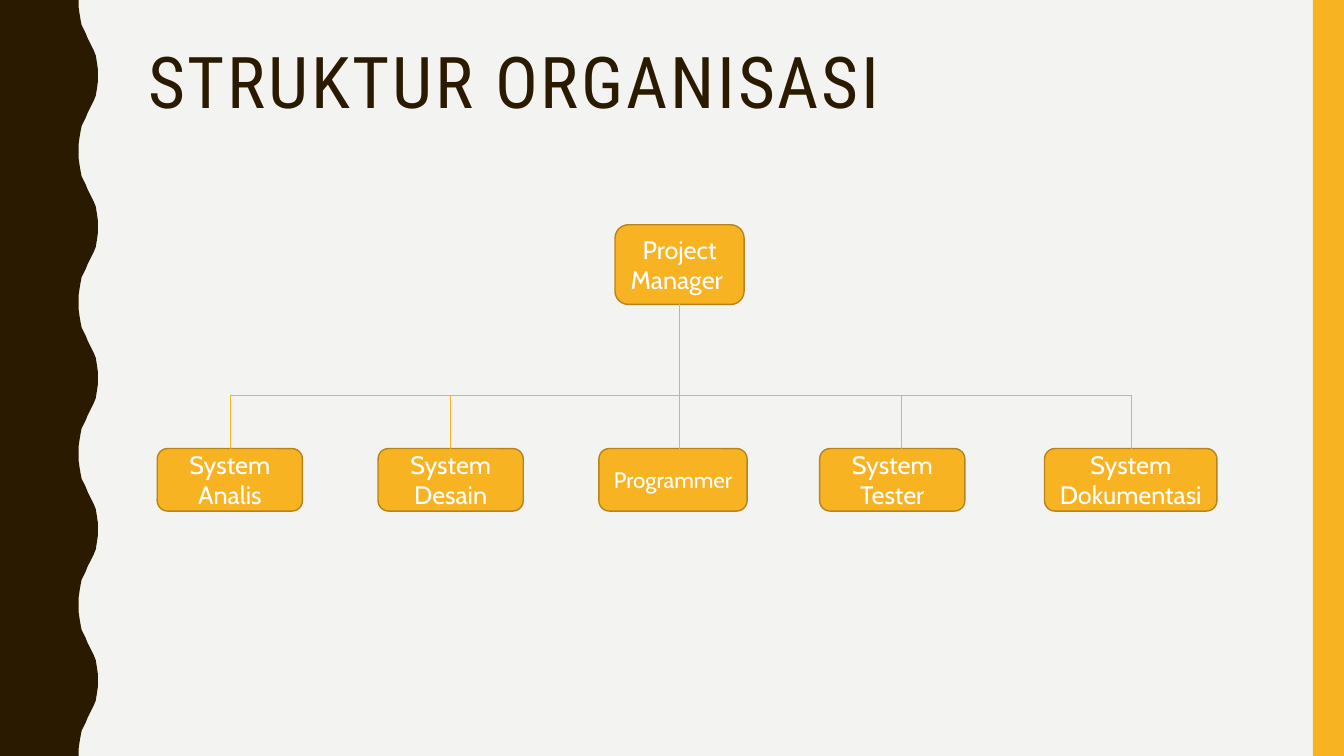
from lxml import etree
from pptx import Presentation
from pptx import util as u
from pptx.dml.color import RGBColor
from pptx.enum import shapes, text
from pptx.oxml import ns

BROWN, GOLD, DARK_GOLD = "2A1A00", "F8B323", "B7841A"
PAPER, WHITE = "F3F3F2", "FFFFFF"
SLIDE_WIDTH, SLIDE_HEIGHT = 13.33, 7.5

# Half a wave of the left edge: x and y in inches, mirrored for the other half
WAVE_PERIOD = 1.5
HALF_WAVE = [
    (0.78, 0), (0.78, 0.07), (0.79, 0.14), (0.8, 0.2), (0.81, 0.25),
    (0.83, 0.29), (0.85, 0.33), (0.87, 0.38), (0.89, 0.42), (0.91, 0.46),
    (0.93, 0.5), (0.95, 0.55), (0.96, 0.61), (0.97, 0.68), (0.97, 0.75),
]

# Team roles: label, left, width, connector x, text size
TEAM = [
    ("System Analis", 1.56, 1.44, 2.28, 18),
    ("System Desain", 3.75, 1.44, 4.47, 18),
    ("Programmer", 5.94, 1.47, 6.74, 16),
    ("System Tester", 8.13, 1.44, 8.94, 18),
    ("System Dokumentasi", 10.36, 1.71, 11.22, 18),
]


def color(value):
    return RGBColor.from_string(value)


def paint(shape, fill, line=None):
    shape.shadow.inherit = False
    shape.fill.solid()
    shape.fill.fore_color.rgb = color(fill)
    if line:
        shape.line.color.rgb = color(line)
        shape.line.width = u.Pt(1)
    else:
        shape.line.fill.background()


def write(shape, content, font, size, ink, align=text.PP_ALIGN.LEFT,
          anchor=text.MSO_ANCHOR.TOP, line_spacing=1.0, tracking=0):
    frame = shape.text_frame
    frame.word_wrap = True
    frame.vertical_anchor = anchor
    paragraph = frame.paragraphs[0]
    paragraph.alignment = align
    paragraph.line_spacing = line_spacing
    run = paragraph.add_run()
    run.text = content
    run.font.name = font
    run.font.size = u.Pt(size)
    run.font.color.rgb = color(ink)
    if tracking:
        run._r.get_or_add_rPr().set("spc", str(tracking * 100))


def add_line(slide, x1, y1, x2, y2):
    line = slide.shapes.add_connector(
        shapes.MSO_CONNECTOR.STRAIGHT, *map(u.Inches, (x1, y1, x2, y2)))
    line.line.color.rgb = color(GOLD)
    line.line.width = u.Pt(0.5)
    etree.SubElement(line._element.spPr, ns.qn("a:effectLst"))


def add_role(slide, label, left, top, width, height, size=18):
    box = slide.shapes.add_shape(
        shapes.MSO_SHAPE.ROUNDED_RECTANGLE,
        *map(u.Inches, (left, top, width, height)))
    paint(box, GOLD, DARK_GOLD)
    write(box, label, "Cabin", size, WHITE, align=text.PP_ALIGN.CENTER,
          anchor=text.MSO_ANCHOR.MIDDLE)


def add_wavy_band(slide, left, top, height):
    mirrored = [(x, WAVE_PERIOD - y) for x, y in reversed(HALF_WAVE[:-1])]
    points = [(left + x, top + y + wave * WAVE_PERIOD)
              for wave in range(round(height / WAVE_PERIOD))
              for x, y in HALF_WAVE + mirrored]
    points.append((left, top + height))
    builder = slide.shapes.build_freeform(u.Inches(left), u.Inches(top))
    builder.add_line_segments([(u.Inches(x), u.Inches(y)) for x, y in points])
    paint(builder.convert_to_shape(), BROWN)


def add_side_bar(slide, left, top, width, height):
    bar = slide.shapes.add_shape(
        shapes.MSO_SHAPE.RECTANGLE,
        *map(u.Inches, (left, top, width, height)))
    paint(bar, GOLD)


def add_title(slide, content, left, top, width, height):
    title = slide.shapes.add_textbox(
        *map(u.Inches, (left, top, width, height)))
    write(title, content, "Roboto Condensed", 51, BROWN,
          line_spacing=0.9, tracking=2)


def add_organisation(slide, top):
    manager_height, rail_y, team_y = 0.79, top + 1.69, top + 2.22

    # Boxes
    add_role(slide, "Project Manager ", 6.1, top, 1.28, manager_height)
    for label, left, width, _, size in TEAM:
        add_role(slide, label, left, team_y, width, 0.62, size)

    # Connectors: a rail, a drop to each role and the manager's stem
    stops = [role[3] for role in TEAM]
    add_line(slide, stops[0], rail_y, stops[-1], rail_y)
    for x in stops:
        add_line(slide, x, team_y, x, rail_y)
    stem_x = stops[len(stops) // 2]
    add_line(slide, stem_x, rail_y, stem_x, top + manager_height)


def main():
    presentation = Presentation()
    presentation.slide_width = u.Inches(SLIDE_WIDTH)
    presentation.slide_height = u.Inches(SLIDE_HEIGHT)
    slide = presentation.slides.add_slide(presentation.slide_layouts[6])
    slide.background.fill.solid()
    slide.background.fill.fore_color.rgb = color(PAPER)

    add_wavy_band(slide, 0, 0, SLIDE_HEIGHT)
    add_side_bar(slide, 13.02, 0, 0.31, SLIDE_HEIGHT)
    add_title(slide, "STRUKTUR ORGANISASI", 1.37, 0.42, 11.13, 1.63)
    add_organisation(slide, 2.23)
    presentation.save("out.pptx")


if __name__ == "__main__":
    main()
